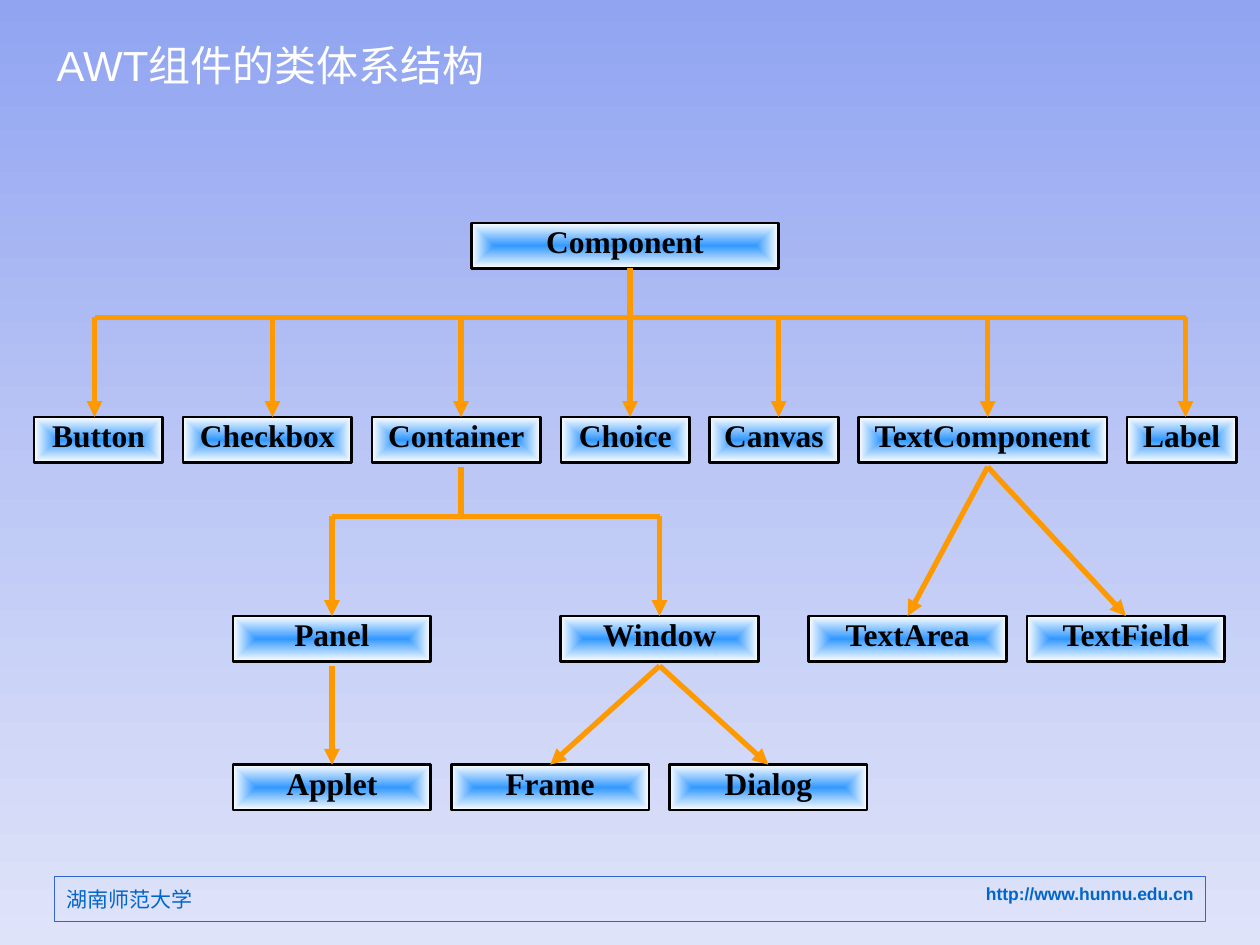
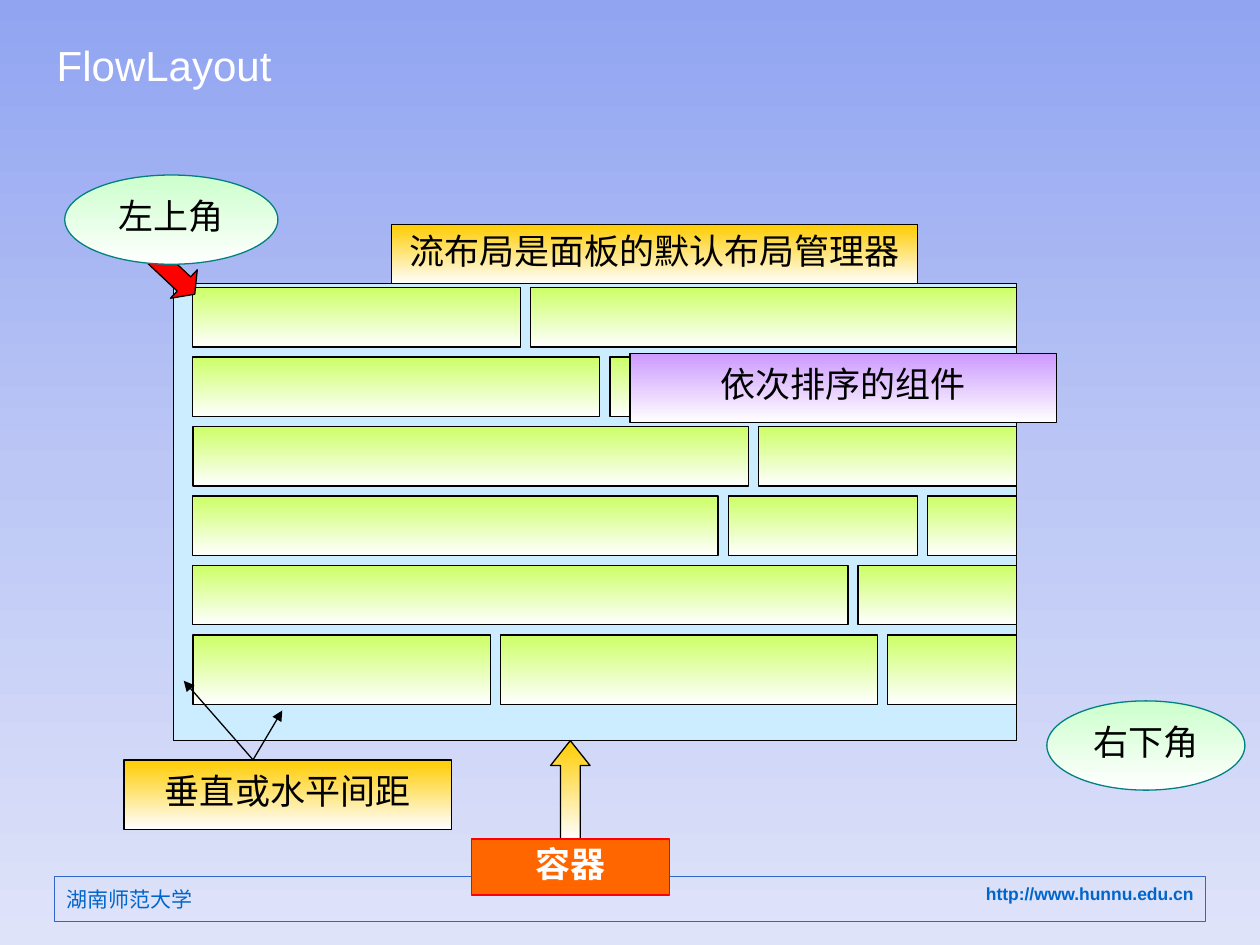
from dataclasses import dataclass
from typing import Optional

from lxml.etree import SubElement
from pptx import Presentation
from pptx.dml.color import RGBColor
from pptx.enum.shapes import MSO_CONNECTOR, MSO_SHAPE as Preset
from pptx.enum.text import MSO_ANCHOR as Anchor, PP_ALIGN as Align
from pptx.oxml.ns import qn
from pptx.util import Pt

COLORS = {
    "black": "000000", "white": "FFFFFF",
    "sky_top": "90A4F1", "sky_middle": "BCC7F5", "sky_bottom": "DFE3F9",
    "frame": "3366CC", "footer": "0066CC",
    "class_blue": "3399FF", "arrow": "FF9900",
    "container": "CCECFF", "component": "CCFF66",
    "gold": "FFCC00", "violet": "CC99FF", "mint": "CCFFCC",
    "teal": "008080", "orange": "FF6600", "red": "FF0000",
}
LATIN, SERIF, CHINESE = "Arial", "Times New Roman", "Noto Sans CJK SC"


@dataclass(frozen=True)
class ClassBox:
    name: str
    left: float
    top: float
    width: float
    height: float = 26

    @property
    def center(self) -> float:
        return self.left + self.width / 2

    @property
    def bottom(self) -> float:
        return self.top + self.height


@dataclass(frozen=True)
class Callout:
    text: str
    left: float
    top: float
    width: float
    height: float
    fill: tuple
    preset: Preset = Preset.RECTANGLE
    line: str = "black"
    color: str = "black"
    bold: bool = False


# Shared drawing functions
def rgb(name: str) -> RGBColor:
    return RGBColor.from_string(COLORS[name])


def set_gradient(owner, fill, names: tuple, from_center: bool = False) -> None:
    """Spread the colours evenly, downwards or outwards from the centre."""
    fill.gradient()
    gradient = next(owner.iter(qn("a:gradFill")))
    for child in list(gradient):
        gradient.remove(child)
    stops = SubElement(gradient, qn("a:gsLst"))
    for index, name in enumerate(names):
        position = 100000 * index // (len(names) - 1)
        stop = SubElement(stops, qn("a:gs"), pos=str(position))
        SubElement(stop, qn("a:srgbClr"), val=COLORS[name])
    if from_center:
        route = SubElement(gradient, qn("a:path"), path="shape")
        sides = {side: "50000" for side in "ltrb"}
        SubElement(route, qn("a:fillToRect"), **sides)
    else:
        SubElement(gradient, qn("a:lin"), ang="5400000", scaled="1")


def set_text(shape, text: str, size: float, color: str, font: str = LATIN,
             bold: bool = False, align: Align = Align.LEFT,
             anchor: Anchor = Anchor.TOP, wrap: bool = True,
             spacing: Optional[float] = None) -> None:
    frame = shape.text_frame
    frame.text = text
    frame.word_wrap = wrap
    frame.vertical_anchor = anchor
    para = frame.paragraphs[0]
    para.alignment = align
    if spacing:
        para.line_spacing = spacing
    para.font.name = font
    para.font.size = Pt(size)
    para.font.bold = bold
    para.font.color.rgb = rgb(color)
    properties = next(para._p.iter(qn("a:defRPr")))
    properties.find(qn("a:latin")).addnext(
        SubElement(properties, qn("a:ea"), typeface=CHINESE))


def add_box(page, left: float, top: float, width: float, height: float,
            fill: tuple = (), line: str = "black", weight: float = 0.75,
            preset: Preset = Preset.RECTANGLE, from_center: bool = False):
    box = page.shapes.add_shape(preset, Pt(left), Pt(top), Pt(width), Pt(height))
    box.shadow.inherit = False
    if len(fill) > 1:
        set_gradient(box.element.spPr, box.fill, fill, from_center)
    elif fill:
        box.fill.solid()
        box.fill.fore_color.rgb = rgb(fill[0])
    else:
        box.fill.background()
    box.line.color.rgb = rgb(line)
    box.line.width = Pt(weight)
    return box


def add_line(page, start: tuple, end: tuple, color: str = "arrow",
             weight: float = 3, arrow: bool = True) -> None:
    points = [Pt(value) for value in (*start, *end)]
    line = page.shapes.add_connector(MSO_CONNECTOR.STRAIGHT, *points)
    line.line.color.rgb = rgb(color)
    line.line.width = Pt(weight)
    properties = line.element.spPr
    if arrow:
        SubElement(properties.find(qn("a:ln")), qn("a:tailEnd"), type="triangle")
    SubElement(properties, qn("a:effectLst"))


def add_page(deck, title: str):
    page = deck.slides.add_slide(deck.slide_layouts[5])
    footer = add_box(page, 31, 501, 658, 25.5, line="frame")
    set_text(footer, "http://www.hunnu.edu.cn", 10, "footer",
             bold=True, align=Align.RIGHT)
    school = page.shapes.add_textbox(Pt(31), Pt(503.3), Pt(283.5), Pt(22))
    set_text(school, "湖南师范大学", 12, "footer", font=CHINESE)
    heading = page.shapes.title
    heading.left, heading.top = Pt(25.2), Pt(15.1)
    heading.width, heading.height = Pt(397.5), Pt(44)
    set_text(heading, title, 24, "white", anchor=Anchor.MIDDLE)
    return page


# Slide 1: class hierarchy
def class_row(left: float, top: float, gap: float, *entries: tuple) -> list:
    row = []
    for name, width in entries:
        row.append(ClassBox(name, left, top, width))
        left += width + gap
    return row


def add_branch(page, stem: tuple, bar_top: float, drops: list, end: float) -> None:
    """Draw a stem, a crossbar and an arrow down from each drop."""
    add_line(page, stem, (stem[0], bar_top), arrow=False)
    add_line(page, (drops[0], bar_top), (drops[-1], bar_top), arrow=False)
    for drop in drops:
        add_line(page, (drop, bar_top), (drop, end))


def build_hierarchy(deck) -> None:
    page = add_page(deck, "AWT组件的类体系结构")
    root = ClassBox("Component", 269.3, 127.4, 175.7)
    children = class_row(
        19.5, 238.3, 11.5, ("Button", 73.5), ("Checkbox", 96.5),
        ("Container", 96.5), ("Choice", 73.5), ("Canvas", 73.5),
        ("TextComponent", 142), ("Label", 62.5))
    panel, = class_row(133.2, 352, 0, ("Panel", 113))
    window, = class_row(320.4, 352, 0, ("Window", 113))
    texts = class_row(462.2, 352, 11.7, ("TextArea", 113), ("TextField", 113))
    leaves = class_row(133.2, 437, 11.7,
                       ("Applet", 113), ("Frame", 113), ("Dialog", 113))
    for item in [root, *children, panel, window, *texts, *leaves]:
        box = add_box(page, item.left, item.top, item.width, item.height,
                      ("class_blue", "white"), weight=1.5, from_center=True)
        set_text(box, item.name, 18, "black", font=SERIF, bold=True,
                 align=Align.CENTER, spacing=0.8)

    # Arrows
    drops = [54, 155.7, 263.5, 360, 445, 564.4, 677.5]
    stem_gap = 2.5
    container_x, text_x = drops[2], drops[5]
    child_end = children[0].bottom + stem_gap
    add_branch(page, (drops[3], root.bottom), 181.4, drops, children[0].top)
    add_branch(page, (container_x, child_end), 295,
               [panel.center, window.center], panel.top)
    links = [(text_x, child_end, item) for item in texts]
    links += [(parent.center, parent.bottom + stem_gap, leaf)
              for parent, leaf in zip([panel, window, window], leaves)]
    for x, y, target in links:
        add_line(page, (x, y), (target.center, target.top))


# Slide 2: flow layout
def build_flow_layout(deck) -> None:
    page = add_page(deck, "FlowLayout")
    add_box(page, 99.3, 162.2, 481.7, 261, ("container",))

    # Rows of components; the last one in each row fills the rest
    first_left, right, gap, pitch = 110.2, 581, 5.8, 39.7
    rows = [[187.2], [232.6], [317.5], [300.2, 108], [374.4], [170, 215.3]]
    for index, widths in enumerate(rows):
        left, top = first_left, 164.3 + index * pitch
        height = 39.6 if index == len(rows) - 1 else 34
        for width in [*widths, None]:
            width = width or right - left
            add_box(page, left, top, width, height, ("component", "white"))
            left += width + gap

    # Block arrows
    up = add_box(page, 314.6, 423.2, 22.6, 56.6, ("gold", "white"),
                 preset=Preset.UP_ARROW)
    up.adjustments[1] = 0.63
    corner = add_box(page, 82.1, 145.4, 33.8, 22.3, ("red",),
                     preset=Preset.NOTCHED_RIGHT_ARROW)
    corner.adjustments[1] = 0.38
    corner.rotation = 43.3

    # Callouts
    gold, mint = ("gold", "white"), ("mint", "white")
    callouts = [
        Callout("容器", 269.3, 479.5, 113.2, 32, ("orange",),
                line="red", color="white", bold=True),
        Callout("流布局是面板的默认布局管理器", 223.8, 128.2, 300.4, 34, gold),
        Callout("左上角", 37, 100, 121.8, 51, mint, Preset.OVAL, "teal"),
        Callout("右下角", 598.2, 400.5, 113.2, 51, mint, Preset.OVAL, "teal"),
        Callout("依次排序的组件", 360, 201.8, 243.8, 39.6, ("violet", "white")),
        Callout("垂直或水平间距", 70.8, 434.3, 187.2, 39.6, gold),
    ]
    for item in callouts:
        box = add_box(page, item.left, item.top, item.width, item.height,
                      item.fill, item.line, preset=item.preset)
        set_text(box, item.text, 20, item.color, bold=item.bold,
                 align=Align.CENTER, anchor=Anchor.MIDDLE, wrap=False,
                 spacing=0.8)

    # Pointers to the gaps
    for tip in [(161.3, 406), (105, 389)]:
        add_line(page, (144.6, 434.2), tip, color="black", weight=0.75)


def main() -> None:
    deck = Presentation()
    deck.slide_width, deck.slide_height = Pt(720), Pt(540)
    master = deck.slide_master
    set_gradient(master.element, master.background.fill,
                 ("sky_top", "sky_middle", "sky_bottom"))
    build_hierarchy(deck)
    build_flow_layout(deck)
    deck.save("out.pptx")


if __name__ == "__main__":
    main()
